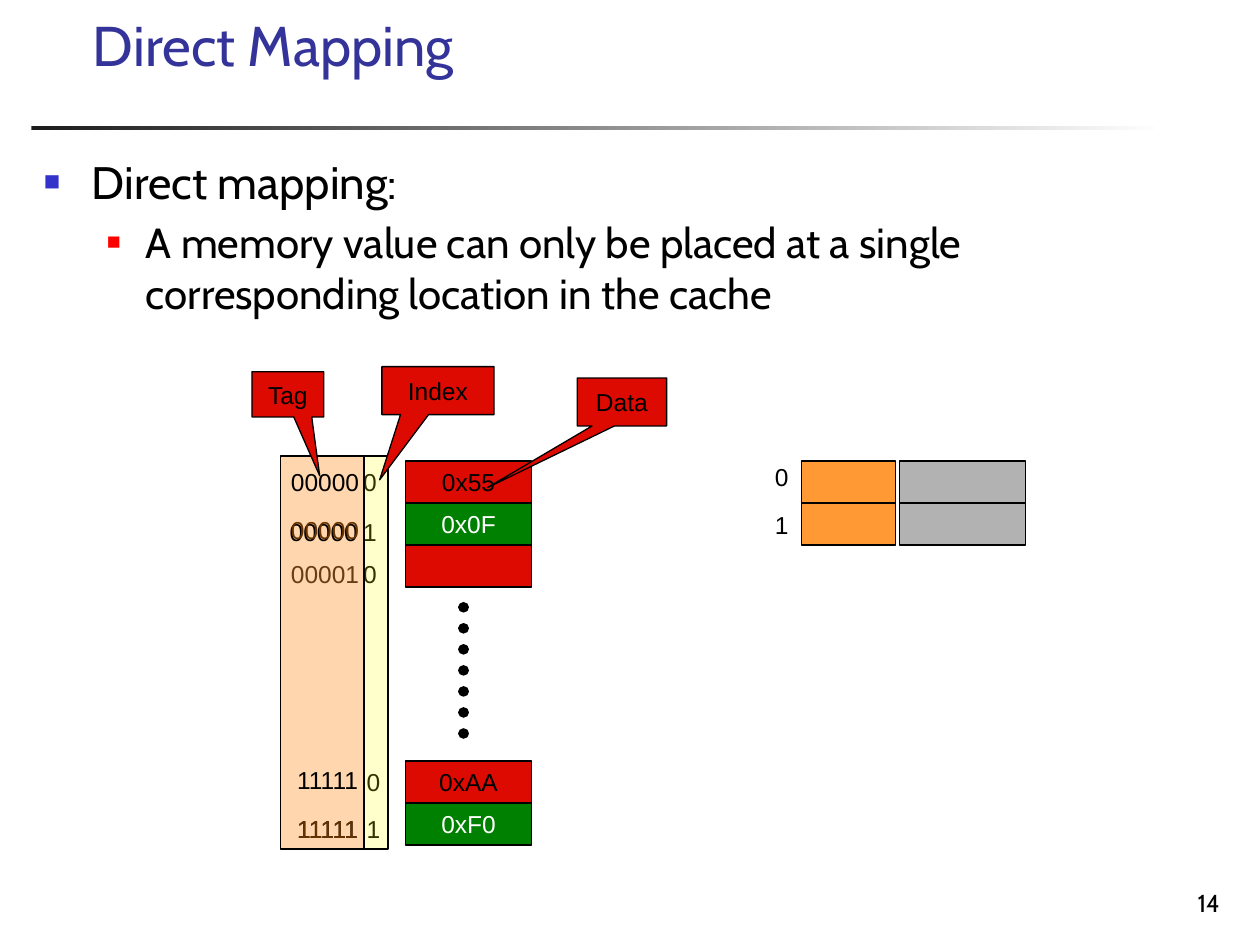
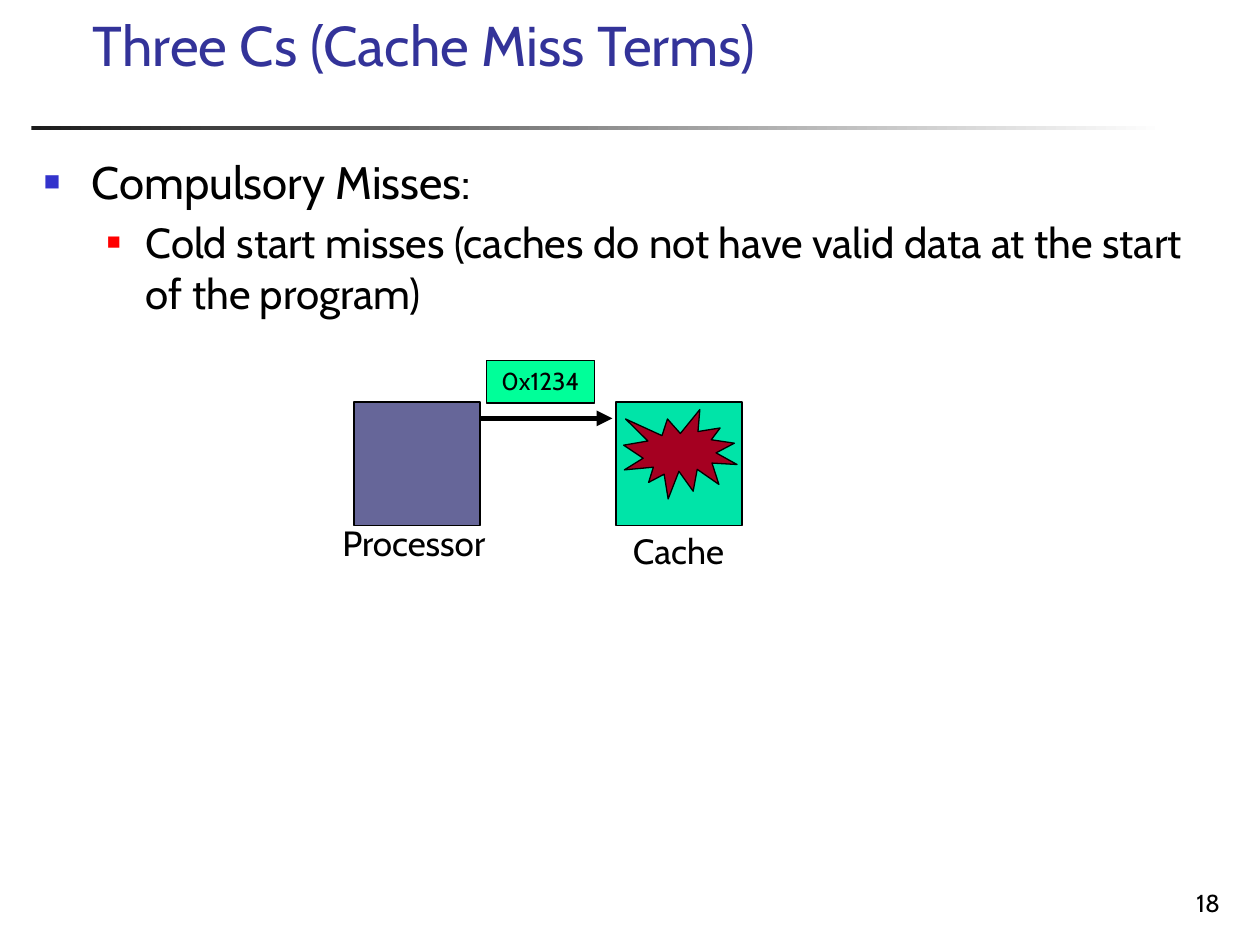
from lxml import etree
from pptx import Presentation
from pptx import util as u
from pptx.dml import color
from pptx.enum import dml, shapes, text
from pptx.oxml import ns

BLACK, WHITE, RED, GREEN = "000000", "FFFFFF", "DC0A00", "008000"
ORANGE, GREY, YELLOW, BROWN = "FF9933", "B2B2B2", "FFFF00", "663300"
TITLE, RULE = "333399", "1C1C1C"
BULLETS = [  # colour, size %, left margin, hanging indent, font size
    ("3333CC", 60, 27.36, 27.36, 26),
    ("FF0000", 55, 58.32, 22.32, 24),
]
SHAPE, ALIGN, ANCHOR = shapes.MSO_SHAPE, text.PP_ALIGN, text.MSO_ANCHOR


def rgb(value):
    return color.RGBColor.from_string(value)


def put(obj, fmt):
    for name, value in fmt.items():
        setattr(obj, name, value)


def sub(parent, tag, **attrs):
    return etree.SubElement(parent, ns.qn(tag), attrs)


def write(p, words, size, font, ink):
    p.add_run().text = words
    put(p.font, {"size": u.Pt(size), "name": font})
    p.font.color.rgb = rgb(ink)


def set_text(s, words, size=14, font="Arial", ink=BLACK, align=ALIGN.CENTER, **frame):
    tf = s.text_frame
    put(tf, frame)
    p = tf.paragraphs[0]
    p.alignment = align
    write(p, words, size, font, ink)


def text_box(sl, x, y, w, h, words, **fmt):
    s = sl.shapes.add_textbox(u.Pt(x), u.Pt(y), u.Pt(w), u.Pt(h))
    set_text(s, words, **fmt)


def label(sl, x, y, w, words, h=24, **fmt):
    text_box(sl, x, y, w, h, words, word_wrap=False,
             auto_size=text.MSO_AUTO_SIZE.SHAPE_TO_FIT_TEXT, **fmt)


def shape(sl, x, y, w, h, fill, kind=SHAPE.RECTANGLE, alpha=None):
    sp = sl.shapes.add_shape(kind, u.Pt(x), u.Pt(y), u.Pt(w), u.Pt(h))
    sp.shadow.inherit = False
    sp.fill.solid()
    sp.fill.fore_color.rgb = rgb(fill)
    sp.line.color.rgb = rgb(BLACK)
    sp.line.width = u.Pt(0.75)
    if alpha:
        clr = sp._element.spPr.find(ns.qn("a:solidFill"))[0]
        sub(clr, "a:alpha", val=str(alpha * 1000))
    return sp


def line(sl, x1, y1, x2, y2, width):
    c = sl.shapes.add_connector(
        shapes.MSO_CONNECTOR.STRAIGHT, u.Pt(x1), u.Pt(y1), u.Pt(x2), u.Pt(y2))
    c.line.color.rgb = rgb(BLACK)
    c.line.width = u.Pt(width)
    sub(c._element.spPr, "a:effectLst")
    return c


# Title, rule, bulleted body and page number
def base_slide(prs, title, points, number):
    sl = prs.slides.add_slide(prs.slide_layouts[6])
    rule = shape(sl, 18, 72, 648, 2.16, RULE)
    rule.line.fill.background()
    rule.fill.gradient()
    rule.fill.gradient_angle = 0
    for stop, tone in zip(rule.fill.gradient_stops, (RULE, WHITE)):
        stop.color.rgb = rgb(tone)
    text_box(sl, 46, 10.8, 638, 37.4, title, size=32, font="Cabin", ink=TITLE,
             align=ALIGN.LEFT, vertical_anchor=ANCHOR.BOTTOM, word_wrap=True)
    body(sl, 18, 84.4, 687, 399, points)
    text_box(sl, 554.4, 491.8, 149.8, 36, number, font="Cabin",
             align=ALIGN.RIGHT, vertical_anchor=ANCHOR.BOTTOM, word_wrap=True)
    return sl


def body(sl, x, y, w, h, points):
    tf = sl.shapes.add_textbox(u.Pt(x), u.Pt(y), u.Pt(w), u.Pt(h)).text_frame
    tf.word_wrap = True
    for i, (words, (tone, pct, margin, hang, size)) in enumerate(zip(points, BULLETS)):
        p = tf.add_paragraph() if i else tf.paragraphs[0]
        p.level = i
        if i:
            p.space_before = u.Pt(4.8)
        ppr = p._p.get_or_add_pPr()
        ppr.set("marL", str(u.Pt(margin)))
        ppr.set("indent", str(-u.Pt(hang)))
        sub(sub(ppr, "a:buClr"), "a:srgbClr", val=tone)
        sub(ppr, "a:buSzPct", val=str(pct * 1000))
        sub(ppr, "a:buFont", typeface="Arial")
        sub(ppr, "a:buChar", char="■")
        write(p, words, size, "Cabin", BLACK)


# Memory: address columns beside data cells
def memory(sl, x, y):
    tag_w, index_w, height, cell_h = 47.5, 13.7, 224.6, 24
    index_x, data_x, last_y = x + 39.7, x + 71.3, y + 174.3

    # Address digits seen through the tinted columns
    for dx, dy, bit in [(0, 2.9, "0"), (0, 31, "1"), (0, 55.5, "0"),
                        (2.1, 174.3, "0"), (2.1, 200.9, "1")]:
        label(sl, index_x + dx, y + dy, 22.3, bit)
    label(sl, x - 1.4, y + 55.5, 53.3, "00001")
    shape(sl, x + tag_w, y, index_w, height, YELLOW, alpha=20)
    shape(sl, x, y, tag_w, height, ORANGE, alpha=40)

    # Tags in front of the columns
    for dx, dy, w, tag, ink in [
            (-1.4, 2.9, 53.3, "00000", BLACK), (1.5, 172.8, 50.4, "11111", BLACK),
            (1.5, 200.9, 50.4, "11111", BLACK), (-2.1, 31, 53.3, "00000", BLACK),
            (-1.4, 30.3, 53.3, "00000", BROWN), (1.5, 200.9, 50.4, "11111", BROWN)]:
        label(sl, x + dx, y + dy, w, tag, ink=ink)

    # Data cells, with dots for the omitted rows
    first = [("0x55", RED, BLACK), ("0x0F", GREEN, WHITE), ("", RED, BLACK)]
    last = [("0xAA", RED, BLACK), ("0xF0", GREEN, WHITE)]
    for top, rows in [(y + 2.9, first), (last_y, last)]:
        for i, (value, fill, ink) in enumerate(rows):
            sp = shape(sl, data_x, top + i * cell_h, 72, cell_h, fill)
            if value:
                set_text(sp, value, ink=ink, vertical_anchor=ANCHOR.MIDDLE, word_wrap=False)
    dots = line(sl, x + 104.5, y + 86.4, x + 104.5, y + 159.9, 6)
    dots.line.dash_style = dml.MSO_LINE.ROUND_DOT
    dots.line._get_or_add_ln().set("cap", "rnd")

    # Callouts
    for words, dx, dy, w, h, tip in [
            ("Tag", -16.5, -48.2, 41, 25.9, (0.445, 1.798)),
            ("Index", 57.7, -51.1, 64.1, 27.4, (-0.52, 1.861)),
            ("Data", 169.3, -44.6, 51.1, 27.4, (-1.505, 1.787))]:
        sp = shape(sl, x + dx, y + dy, w, h, RED, SHAPE.RECTANGULAR_CALLOUT)
        for i, value in enumerate(tip):
            sp.adjustments[i] = value
        set_text(sp, words, vertical_anchor=ANCHOR.MIDDLE, word_wrap=True)


# Empty two-line cache: index, tag, data
def cache(sl, x, y):
    for i in range(2):
        label(sl, x, y - 2.9 + i * 27.2, 22.3, str(i))
        shape(sl, x + 22.3, y + i * 24, 54, 24, ORANGE)
        shape(sl, x + 78.5, y + i * 24, 72, 24, GREY)


# Processor requesting an address from the cache
def cache_miss(sl, x, y):
    w, h, cache_x = 72, 70.6, x + 149.8
    shape(sl, x, y, w, h, "666699")
    shape(sl, cache_x, y, w, h, "00E4A8")
    arrow = line(sl, x + w, y + 9.4, cache_x - 2.2, y + 9.4, 3)
    sub(arrow.line._get_or_add_ln(), "a:tailEnd", type="triangle")
    shape(sl, cache_x + 4.3, y + 4.3, 64.8, 51.1, "A50021", SHAPE.EXPLOSION1)
    label(sl, x - 15.8, y + 64.8, 100, "Processor", h=31.7, size=20, font="Cabin")
    label(sl, cache_x + 1.4, y + 69.1, 68.4, "Cache", h=31.7, size=20, font="Cabin")
    request = shape(sl, x + 75.6, y - 23.8, 61.9, 24.5, "00FF99")
    set_text(request, "0x1234", font="Cabin", vertical_anchor=ANCHOR.TOP, word_wrap=False,
             auto_size=text.MSO_AUTO_SIZE.SHAPE_TO_FIT_TEXT)


def main():
    prs = Presentation()
    put(prs, {"slide_width": u.Pt(720), "slide_height": u.Pt(540)})

    s = base_slide(prs, "Direct Mapping", [
        "Direct mapping:",
        "A memory value can only be placed at a single corresponding location in the cache",
    ], "14")
    memory(s, 160.5, 260.6)
    cache(s, 435.6, 263.5)

    s = base_slide(prs, "Three Cs (Cache Miss Terms)", [
        "Compulsory Misses:",
        "Cold start misses (caches do not have valid data at the start of the program)",
    ], "18")
    cache_miss(s, 202.3, 229.7)

    prs.save("out.pptx")


if __name__ == "__main__":
    main()
